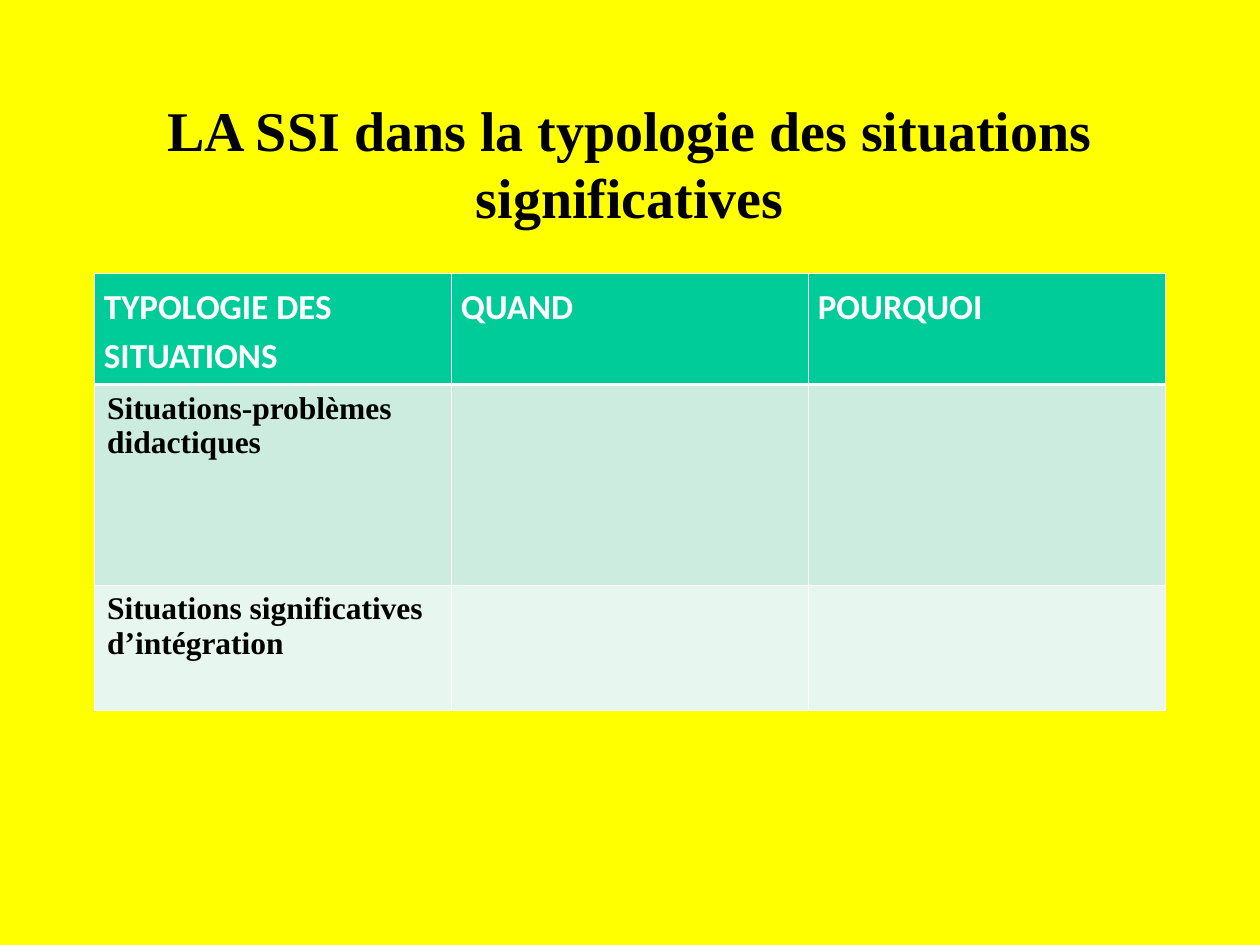
from dataclasses import dataclass

from lxml import etree
from pptx import Presentation
from pptx.dml.color import RGBColor
from pptx.enum import text
from pptx.oxml import ns
from pptx.util import Pt

COLOURS = {
    "page": "FFFF00",
    "header": "00CC99",
    "band": "CBECDE",
    "pale": "E7F6EF",
    "light": "FFFFFF",
    "dark": "000000",
}
THIN, THICK = 0.45, 1.47


@dataclass(frozen=True)
class TextStyle:
    font: str
    size: float
    colour: str
    spacing: float = 1.0


@dataclass(frozen=True)
class TableRow:
    labels: tuple[str, str, str]
    height: float
    fill: str
    style: TextStyle
    side_inset: float
    top_line: float = THIN
    bottom_line: float = THIN


TITLE = TextStyle("Times New Roman", 32, "dark")
HEADING = TextStyle("Calibri", 20, "light", 1.15)
BODY = TextStyle("Times New Roman", 18, "dark")

ROWS = (
    TableRow(("TYPOLOGIE DES SITUATIONS", "QUAND", "POURQUOI"),
             56.5, "header", HEADING, 5.4, bottom_line=THICK),
    TableRow(("Situations-problèmes didactiques", "", ""),
             114.5, "band", BODY, 7.2, top_line=THICK),
    TableRow(("Situations significatives d’intégration", "", ""),
             71.5, "pale", BODY, 7.2),
)


def rgb(name: str) -> RGBColor:
    return RGBColor.from_string(COLOURS[name])


def write(frame, words: str, style: TextStyle, align) -> None:
    para = frame.paragraphs[0]
    para.alignment = align
    para.line_spacing = style.spacing
    span = para.add_run()
    span.text = words
    span.font.name = style.font
    span.font.size = Pt(style.size)
    span.font.bold = True
    span.font.color.rgb = rgb(style.colour)


def add_border(cell, side: str, width: float) -> None:
    properties = cell._tc.get_or_add_tcPr()
    line = etree.SubElement(properties, ns.qn(f"a:ln{side}"), w=str(int(Pt(width))))
    fill = etree.SubElement(line, ns.qn("a:solidFill"))
    etree.SubElement(fill, ns.qn("a:srgbClr"), val=COLOURS["light"])


def fill_cell(cell, words: str, row: TableRow) -> None:
    cell.margin_left = cell.margin_right = Pt(row.side_inset)
    cell.margin_top = cell.margin_bottom = Pt(3.6)
    borders = {"L": THIN, "R": THIN, "T": row.top_line, "B": row.bottom_line}
    for side, width in borders.items():
        add_border(cell, side, width)
    cell.fill.solid()
    cell.fill.fore_color.rgb = rgb(row.fill)
    if words:
        write(cell.text_frame, words, row.style, text.PP_ALIGN.LEFT)


def add_title(page, words: str) -> None:
    box = page.shapes.title
    box.left, box.top, box.width, box.height = Pt(54), Pt(48), Pt(612), Pt(90)
    frame = box.text_frame
    frame.word_wrap = True
    frame.auto_size = text.MSO_AUTO_SIZE.NONE
    frame.vertical_anchor = text.MSO_ANCHOR.MIDDLE
    write(frame, words, TITLE, text.PP_ALIGN.CENTER)


def add_typology(page, rows: tuple[TableRow, ...]) -> None:
    height = sum(row.height for row in rows)
    table = page.shapes.add_table(len(rows), len(rows[0].labels), Pt(54), Pt(156.25),
                                  Pt(612), Pt(height)).table
    for index, row in enumerate(rows):
        table.rows[index].height = Pt(row.height)
        for column, words in enumerate(row.labels):
            fill_cell(table.cell(index, column), words, row)


def main() -> None:
    deck = Presentation()
    deck.slide_width, deck.slide_height = Pt(720), Pt(540)
    page = deck.slides.add_slide(deck.slide_layouts.get_by_name("Title Only"))
    page.background.fill.solid()
    page.background.fill.fore_color.rgb = rgb("page")
    add_title(page, "LA SSI dans la typologie des situations significatives")
    add_typology(page, ROWS)
    deck.save("out.pptx")


if __name__ == "__main__":
    main()
